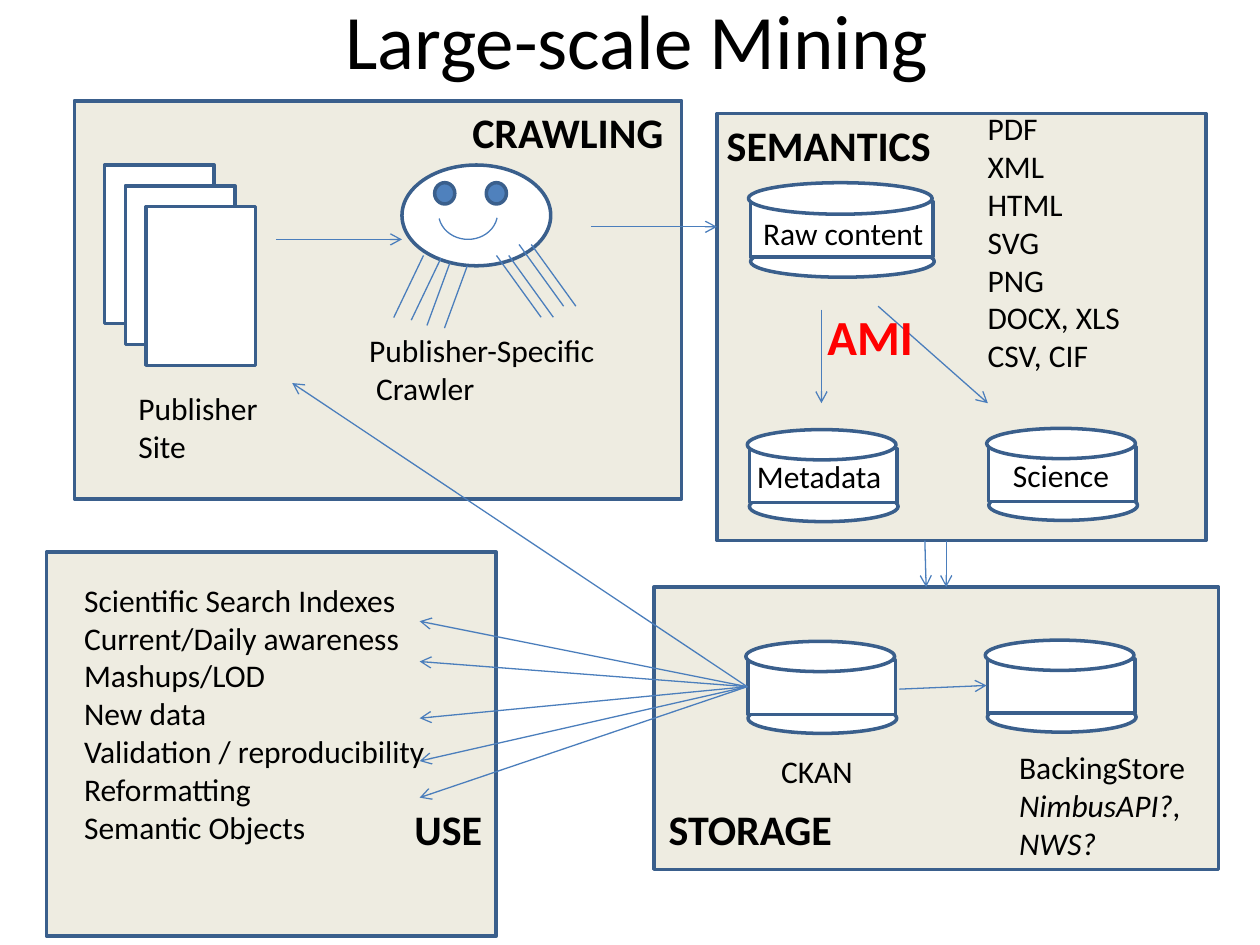
from lxml.etree import SubElement
from pptx import Presentation
from pptx.dml.color import RGBColor
from pptx.enum.shapes import MSO_CONNECTOR, MSO_SHAPE
from pptx.enum.text import MSO_ANCHOR, MSO_AUTO_SIZE, PP_ALIGN
from pptx.oxml.ns import qn
from pptx.util import Pt

RECT, OVAL = MSO_SHAPE.RECTANGLE, MSO_SHAPE.OVAL


def rgb(value):
    return RGBColor.from_string(value)


class Diagram:
    """Holds the style and the slide being drawn; lengths are in points."""

    font = "Calibri"
    outline, thin = "3A5F8C", "4B7EBC"
    panel_fill, paper, eye_fill = "EEECE1", "FFFFFF", "4F81BD"

    def __init__(self, slide):
        self.s = slide

    def shape(self, kind, x, y, w, h, fill):
        sp = self.s.shapes.add_shape(kind, Pt(x), Pt(y), Pt(w), Pt(h))
        sp.shadow.inherit = False
        sp.fill.solid()
        sp.fill.fore_color.rgb = rgb(fill)
        sp.line.color.rgb = rgb(self.outline)
        sp.line.width = Pt(2)
        return sp

    def panel(self, x, y, w, h):
        self.shape(RECT, x, y, w, h, self.panel_fill)

    def smile(self, x, y, w, h):
        sp = self.shape(MSO_SHAPE.ARC, x, y, w, h, self.paper)
        sp.fill.background()
        sp.line.color.rgb = rgb(self.thin)
        sp.line.width = Pt(0.75)
        sp.adjustments[0], sp.adjustments[1] = 5.7, 101.53

    def cylinder(self, x, y, w=85, body=31, lid=17.3):
        """Store made of a base ellipse, a body and a lid ellipse."""
        self.shape(OVAL, x + 1.2, y + body + 4.3, w, lid, self.paper)
        self.shape(RECT, x + 1.2, y + 10.8, w - 0.7, body, self.paper)
        self.shape(OVAL, x, y, w, lid, self.paper)

    def line(self, x1, y1, x2, y2, arrow=False):
        cn = self.s.shapes.add_connector(
            MSO_CONNECTOR.STRAIGHT, Pt(x1), Pt(y1), Pt(x2), Pt(y2))
        cn.line.color.rgb = rgb(self.thin)
        cn.line.width = Pt(0.75)
        if arrow:
            SubElement(cn.line._get_or_add_ln(), qn("a:tailEnd"), type="arrow")
        SubElement(cn._element.spPr, qn("a:effectLst"))

    def arrow(self, x1, y1, x2, y2):
        self.line(x1, y1, x2, y2, arrow=True)

    def text(self, text, x, y, w, h, size=18, color="000000", bold=False,
             italic_from=None, last_indent=0, title=False):
        """Add a text box; each line of text is a paragraph."""
        tf = self.s.shapes.add_textbox(Pt(x), Pt(y), Pt(w), Pt(h)).text_frame
        tf.word_wrap = title
        tf.auto_size = MSO_AUTO_SIZE.NONE if title else MSO_AUTO_SIZE.SHAPE_TO_FIT_TEXT
        tf.vertical_anchor = MSO_ANCHOR.MIDDLE if title else MSO_ANCHOR.TOP
        for i, row in enumerate(text.split("\n")):
            p = tf.add_paragraph() if i else tf.paragraphs[0]
            p.alignment = PP_ALIGN.CENTER if title else PP_ALIGN.LEFT
            r = p.add_run()
            r.text = row
            r.font.name, r.font.size = self.font, Pt(size)
            r.font.bold = bold
            r.font.italic = italic_from is not None and i >= italic_from
            r.font.color.rgb = rgb(color)
        if last_indent:
            p._p.get_or_add_pPr().set("marL", str(Pt(last_indent)))

    def heading(self, text, x, y, w):
        self.text(text, x, y, w, 36, size=24, bold=True)


def draw_crawling(d):
    for i in range(3):
        d.shape(RECT, 59.8 + 11.9 * i, 94.3 + 11.9 * i, 62.6, 90.7, d.paper)
    d.text("Publisher\nSite", 72, 218.9, 83.5, 51)
    d.shape(OVAL, 229.7, 94.3, 85, 57.6, d.paper)
    for x in (248.4, 277.9):
        d.shape(OVAL, x, 104.4, 11.5, 12.2, d.eye_fill)
    d.smile(250.6, 106.6, 33.8, 30.2)
    for x, y, dx in ((242, 146, -17), (252, 147.5, -17),
                     (257, 150.5, -13), (267, 152, -13)):
        d.line(x, y, x + dx, y + 35.5)
    for x, y in ((283.7, 146), (290.7, 146), (296.6, 139.7), (303.6, 139.7)):
        d.line(x, y, x + 25.5, y + 35.3)
    d.text("Publisher-Specific\nCrawler", 203.8, 185.8, 145.4, 51, last_indent=4)
    d.arrow(157.7, 136.8, 229.7, 136.8)
    d.arrow(337.7, 129.6, 409.7, 129.6)
    d.heading("CRAWLING", 262.8, 57.6, 124.6)


def draw_semantics(d):
    d.cylinder(427.7, 104.4, w=105, body=31.7, lid=18)
    d.cylinder(427, 245.5)
    d.cylinder(563.8, 244.8)
    d.text("Raw content", 429, 118.8, 107.3, 29)
    d.text("Metadata", 425.5, 257.8, 86.4, 29)
    d.text("Science", 571.7, 257, 70.6, 29)
    d.arrow(469.4, 177, 469.4, 230.4)
    d.arrow(501.8, 175, 564.5, 230.4)
    d.text("AMI", 465.8, 171.4, 64, 41, size=28, color="FF0000", bold=True)
    d.text("PDF\nXML\nHTML\nSVG\nPNG\nDOCX, XLS\nCSV, CIF", 557.3, 59, 91.4, 160)
    d.heading("SEMANTICS", 408.2, 64.8, 132.5)


def draw_storage(d):
    d.cylinder(426.2, 366.5)
    d.cylinder(563, 365.8)
    d.text("CKAN", 439.2, 426.2, 56.2, 29)
    d.text("BackingStore\nNimbusAPI?,\nNWS?", 575.3, 424, 110.2, 72.7, italic_from=1)
    d.arrow(514, 393.8, 563.8, 391.7)
    d.arrow(528.5, 308.9, 529.2, 335.5)
    d.arrow(540.7, 308.9, 540.7, 335.5)
    d.heading("STORAGE", 375, 455.8, 108.7)


def draw_use(d):
    d.text("Scientific Search Indexes\nCurrent/Daily awareness\nMashups/LOD\n"
           "New data\nValidation / reproducibility\nReformatting\nSemantic Objects",
           41, 328.3, 211.7, 181.4)
    for x, y in ((167, 218.9), (239.8, 355), (239.8, 378),
                 (239.8, 410.4), (239.8, 434.9), (239.8, 455.8)):
        d.arrow(427, 392.4, x, y)
    d.heading("USE", 229.7, 455.8, 54)


def main():
    prs = Presentation()
    prs.slide_width, prs.slide_height = Pt(720), Pt(540)
    d = Diagram(prs.slides.add_slide(prs.slide_layouts[6]))
    for box in ((26.6, 315.4, 257, 219.6), (373.7, 335.5, 322.6, 161.3),
                (409.7, 64.8, 279.4, 244.1), (42.5, 57.6, 347, 227.5)):
        d.panel(*box)
    d.text("Large-scale Mining", 60.5, -13.7, 607, 72, size=44, title=True)
    for draw in (draw_crawling, draw_semantics, draw_storage, draw_use):
        draw(d)
    prs.save("out.pptx")


if __name__ == "__main__":
    main()
